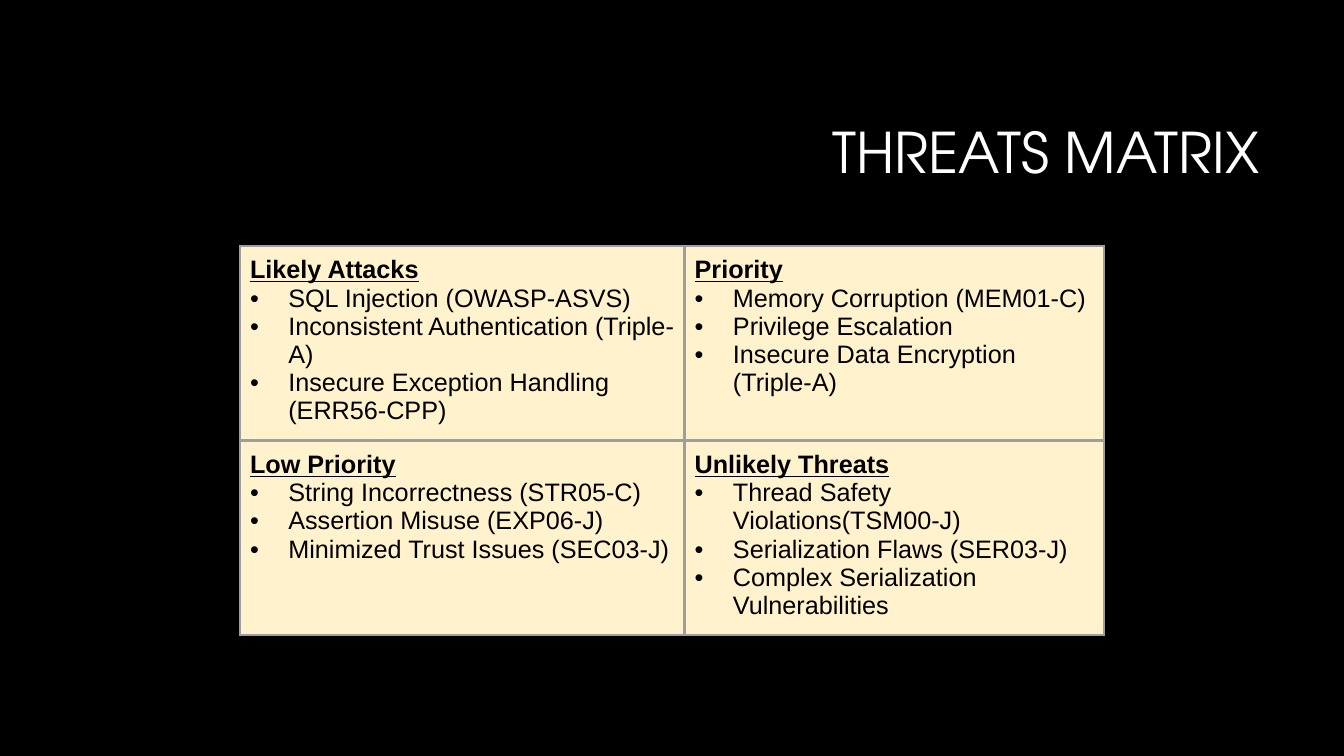
from lxml import etree
from pptx import Presentation
from pptx import util as u
from pptx.dml.color import RGBColor
from pptx.enum import text
from pptx.oxml import ns

COLORS = {
    "background": "000000",
    "title": "FFFFFF",
    "ink": "000000",
    "cell": "FFF2CC",
    "border": "9E9E9E",
}
THREATS = [
    [
        ("Likely Attacks", ["SQL Injection (OWASP-ASVS)",
                            "Inconsistent Authentication (Triple-A)",
                            "Insecure Exception Handling (ERR56-CPP)"]),
        ("Priority", ["Memory Corruption (MEM01-C)",
                      "Privilege Escalation",
                      "Insecure Data Encryption (Triple-A)"]),
    ],
    [
        ("Low Priority", ["String Incorrectness (STR05-C)",
                          "Assertion Misuse (EXP06-J)",
                          "Minimized Trust Issues (SEC03-J)"]),
        ("Unlikely Threats", ["Thread Safety Violations(TSM00-J)",
                              "Serialization Flaws (SER03-J)",
                              "Complex Serialization Vulnerabilities"]),
    ],
]
WIDTH, HEIGHT = 13.33, 7.5
TITLE_ONLY = 5


def color(name):
    return RGBColor.from_string(COLORS[name])


class MatrixSlide:
    title_font, body_font = "TeX Gyre Adventor", "Arial"
    title_size, body_size = u.Pt(40), u.Pt(18)
    border_width = u.Pt(2.25)
    cell_margin, indent = u.Inches(0.1), u.Inches(0.38)

    def __init__(self, presentation):
        self.width, self.height = presentation.slide_width, presentation.slide_height
        self.slide = presentation.slides.add_slide(presentation.slide_layouts[TITLE_ONLY])
        self.slide.background.fill.solid()
        self.slide.background.fill.fore_color.rgb = color("background")

    def box(self, left, top, width, height):
        """Turn shares of the slide's size into lengths."""
        return (int(left * self.width), int(top * self.height),
                int(width * self.width), int(height * self.height))

    def style(self, paragraph, font_name, size, color_name):
        paragraph.font.name = font_name
        paragraph.font.size = size
        paragraph.font.color.rgb = color(color_name)

    def title(self, wording, *shares):
        shape = self.slide.shapes.title
        shape.left, shape.top, shape.width, shape.height = self.box(*shares)
        frame = shape.text_frame
        frame.text = wording
        frame.vertical_anchor = text.MSO_ANCHOR.MIDDLE
        frame.auto_size = text.MSO_AUTO_SIZE.NONE
        paragraph = frame.paragraphs[0]
        paragraph.alignment = text.PP_ALIGN.RIGHT
        paragraph.line_spacing = 0.9
        self.style(paragraph, self.title_font, self.title_size, "title")

    def table(self, rows, column_shares, *shares):
        box = self.box(*shares)
        table = self.slide.shapes.add_table(len(rows), len(rows[0]), *box).table
        table.first_row = table.horz_banding = False
        for column, share in zip(table.columns, column_shares):
            column.width = int(share * box[2])
        for row, entries in zip(table.rows, rows):
            for cell, (heading, threats) in zip(row.cells, entries):
                self.fill_cell(cell, heading, threats)

    def fill_cell(self, cell, heading, threats):
        cell.fill.solid()
        cell.fill.fore_color.rgb = color("cell")
        cell.margin_left = cell.margin_right = self.cell_margin
        cell.margin_top = cell.margin_bottom = self.cell_margin
        self.outline(cell)
        cell.text_frame.text = "\n".join([heading, *threats])
        first, *items = cell.text_frame.paragraphs
        for paragraph in (first, *items):
            self.style(paragraph, self.body_font, self.body_size, "ink")
        first.font.bold = first.font.underline = True
        for paragraph in items:
            self.bullet(paragraph)

    def outline(self, cell):
        properties = cell._tc.get_or_add_tcPr()
        for position, side in enumerate(("lnL", "lnR", "lnT", "lnB")):
            line = etree.Element(ns.qn(f"a:{side}"), w=str(self.border_width))
            fill = etree.SubElement(line, ns.qn("a:solidFill"))
            etree.SubElement(fill, ns.qn("a:srgbClr"), val=COLORS["border"])
            properties.insert(position, line)

    def bullet(self, paragraph):
        properties = paragraph._p.get_or_add_pPr()
        properties.set("marL", str(self.indent))
        properties.set("indent", str(-self.indent))
        bullet_color = etree.Element(ns.qn("a:buClr"))
        etree.SubElement(bullet_color, ns.qn("a:srgbClr"), val=COLORS["ink"])
        properties.insert(0, bullet_color)
        properties.insert(1, etree.Element(ns.qn("a:buFont"), typeface=self.body_font))
        properties.insert(2, etree.Element(ns.qn("a:buChar"), char="•"))


def main():
    presentation = Presentation()
    presentation.slide_width = u.Inches(WIDTH)
    presentation.slide_height = u.Inches(HEIGHT)
    slide = MatrixSlide(presentation)
    slide.title("THREATS MATRIX",
                3.17 / WIDTH, 0.84 / HEIGHT, 9.42 / WIDTH, 1.41 / HEIGHT)
    slide.table(THREATS, (4.41 / 8.57, 4.16 / 8.57),
                2.38 / WIDTH, 2.44 / HEIGHT, 8.57 / WIDTH, 3.86 / HEIGHT)
    presentation.save("out.pptx")


if __name__ == "__main__":
    main()
